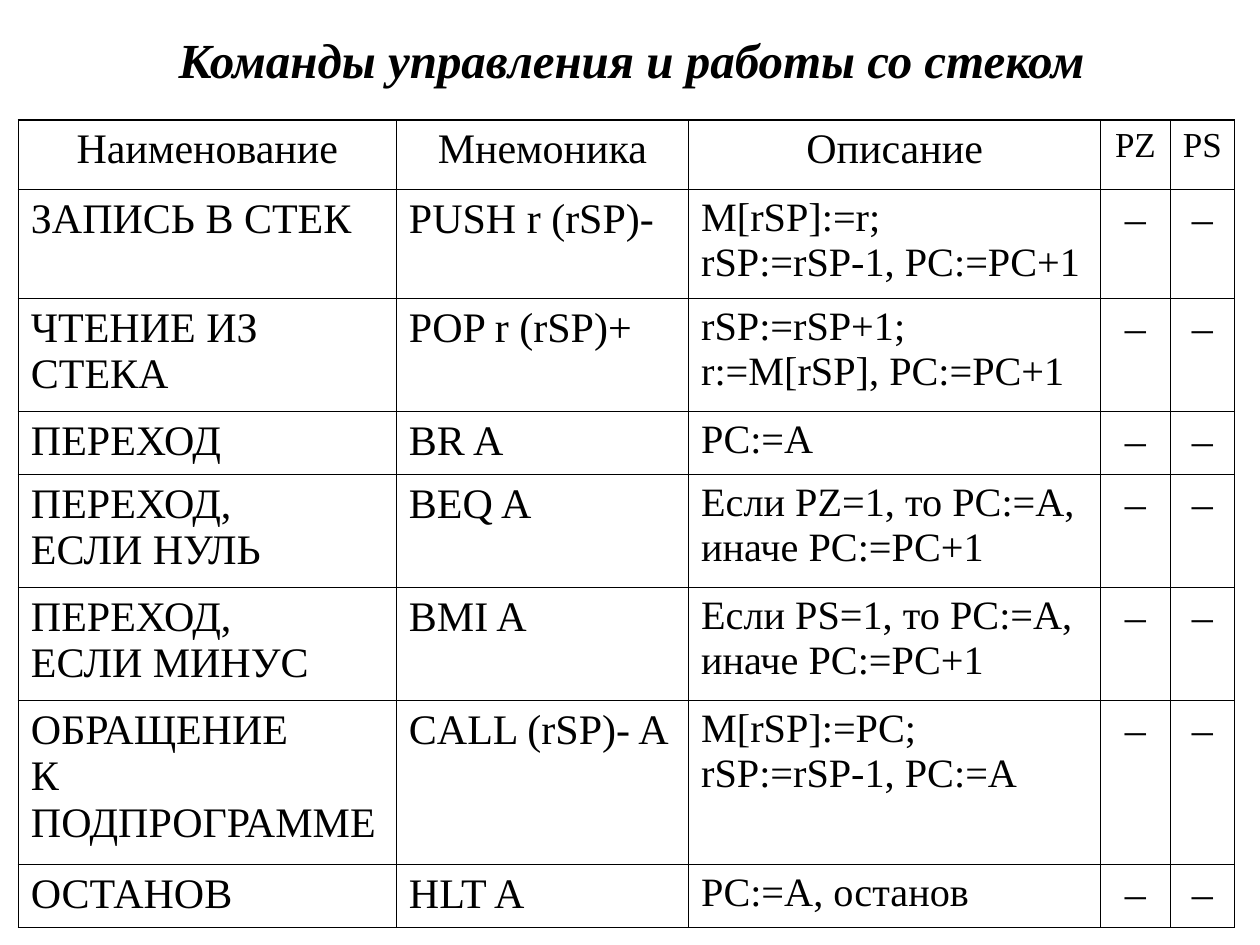
from lxml.etree import fromstring
from pptx import Presentation
from pptx.dml.color import RGBColor
from pptx.enum.text import MSO_ANCHOR, MSO_AUTO_SIZE, PP_ALIGN
from pptx.util import Cm, Pt

BLACK = RGBColor(0x00, 0x00, 0x00)
FONT = "Times New Roman"
NS = "http://schemas.openxmlformats.org/drawingml/2006/main"
THIN, THICK = Pt(0.45), Pt(1.08)

COL_WIDTHS = [7.62, 5.89, 8.31, 1.4, 1.3]
ROW_HEIGHTS = [1.4, 2.2, 2.28, 1.27, 2.28, 2.28, 3.3, 1.27]
HEADER = ["Наименование", "Мнемоника", "Описание", "PZ", "PS"]
# \n starts a new paragraph, \v breaks the line inside one
COMMANDS = [
    ["ЗАПИСЬ В СТЕК", "PUSH r (rSP)-", "M[rSP]:=r;\nrSP:=rSP-1, PC:=PC+1"],
    ["ЧТЕНИЕ ИЗ СТЕКА", "POP r (rSP)+", "rSP:=rSP+1;\nr:=M[rSP], PC:=PC+1"],
    ["ПЕРЕХОД", "BR A", "PC:=A"],
    ["ПЕРЕХОД, \vЕСЛИ НУЛЬ", "BEQ A", "Если PZ=1, то PC:=A, \vиначе PC:=PC+1"],
    ["ПЕРЕХОД, \vЕСЛИ МИНУС", "BMI A", "Если PS=1, то PC:=A, \vиначе PC:=PC+1"],
    ["ОБРАЩЕНИЕ \vК ПОДПРОГРАММЕ", "CALL (rSP)- A", "M[rSP]:=PC;\nrSP:=rSP-1, PC:=A"],
    ["ОСТАНОВ", "HLT A", "PC:=A, останов"],
]


def write(tf, text, size, align=PP_ALIGN.LEFT, bold=False, italic=False):
    tf.text = text
    for p in tf.paragraphs:
        p.alignment = align
        for r in p.runs:
            r.font.name = FONT
            r.font.size = Pt(size)
            r.font.bold = bold
            r.font.italic = italic
            r.font.color.rgb = BLACK


def set_borders(cell, **widths):
    """Give the cell black borders; the sides come in the order L, R, T, B."""
    tcPr = cell._tc.get_or_add_tcPr()
    for i, (side, width) in enumerate(widths.items()):
        tcPr.insert(i, fromstring(
            f'<a:ln{side} xmlns:a="{NS}" w="{width}"><a:solidFill>'
            f'<a:srgbClr val="{BLACK}"/></a:solidFill></a:ln{side}>'))


prs = Presentation()
prs.slide_width, prs.slide_height = Cm(25.4), Cm(19.05)
s = prs.slides.add_slide(prs.slide_layouts[5])

title = s.shapes.title
title.left, title.top, title.width, title.height = Cm(0.58), Cm(0.43), Cm(24.3), Cm(1.5)
tf = title.text_frame
tf.auto_size = MSO_AUTO_SIZE.NONE
tf.vertical_anchor = MSO_ANCHOR.MIDDLE
write(tf, "Команды управления и работы со стеком", 28, PP_ALIGN.CENTER, bold=True, italic=True)

rows = [HEADER] + [command + ["–", "–"] for command in COMMANDS]
last_row, last_col = len(rows) - 1, len(HEADER) - 1
table = s.shapes.add_table(len(rows), len(HEADER), Cm(0.37), Cm(2.42),
                           Cm(sum(COL_WIDTHS)), Cm(sum(ROW_HEIGHTS))).table
table.first_row = table.horz_banding = False
for column, width in zip(table.columns, COL_WIDTHS):
    column.width = Cm(width)
for row, height in zip(table.rows, ROW_HEIGHTS):
    row.height = Cm(height)

for i, texts in enumerate(rows):
    for j, text in enumerate(texts):
        cell = table.cell(i, j)
        is_flag = j >= 3
        if i == 0:
            size = 20 if is_flag else 24
        else:
            size = 23 if j == 2 else 24
        align = PP_ALIGN.CENTER if i == 0 or is_flag else PP_ALIGN.LEFT
        write(cell.text_frame, text, size, align)
        cell.fill.background()
        set_borders(cell,
                    L=THICK if j == 0 else THIN,
                    R=THICK if j == last_col else THIN,
                    T=THICK if i == 0 else THIN,
                    B=THICK if i == last_row else THIN)

prs.save("out.pptx")
